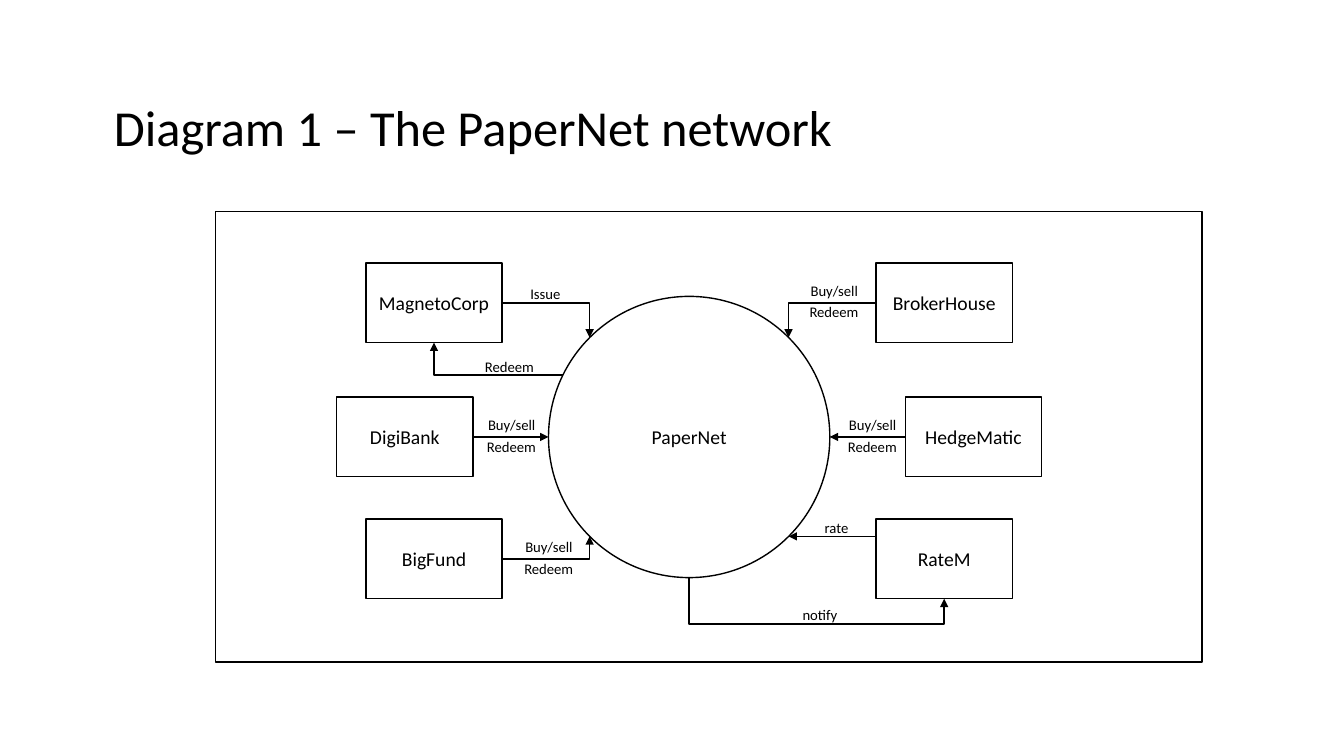
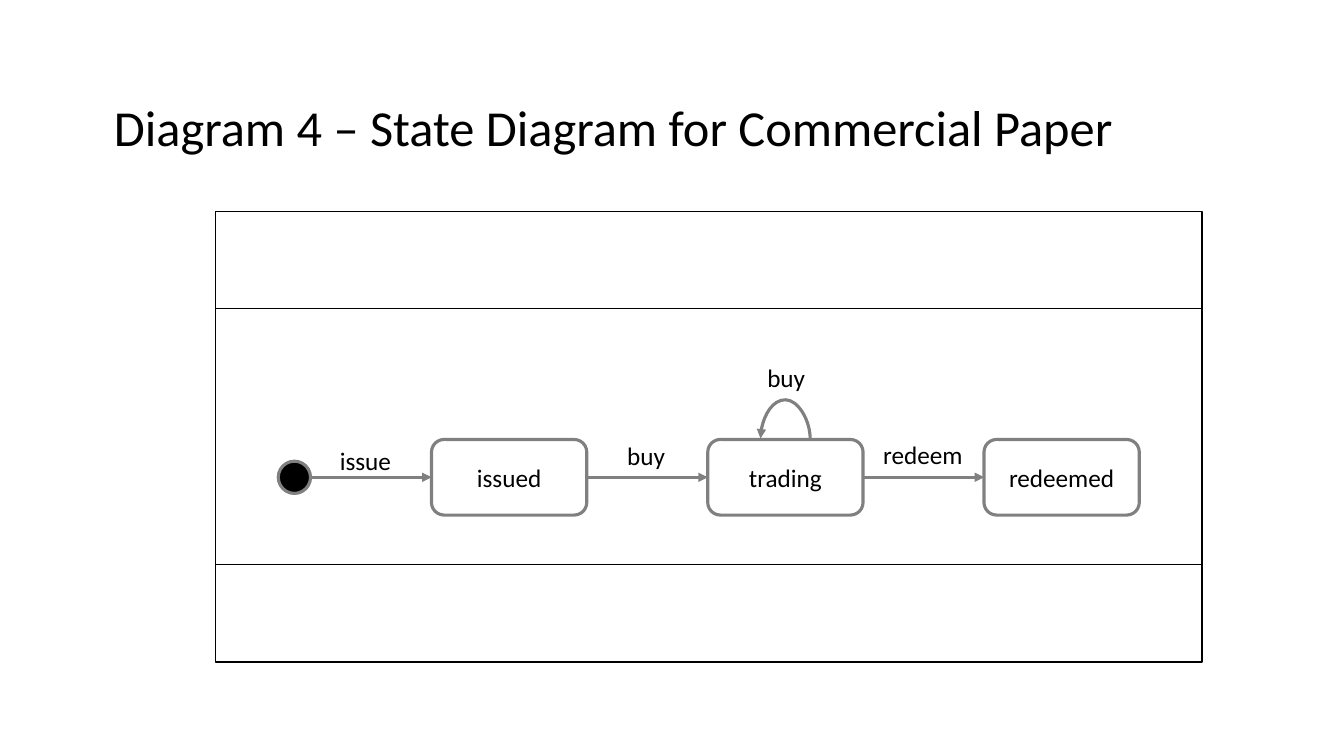
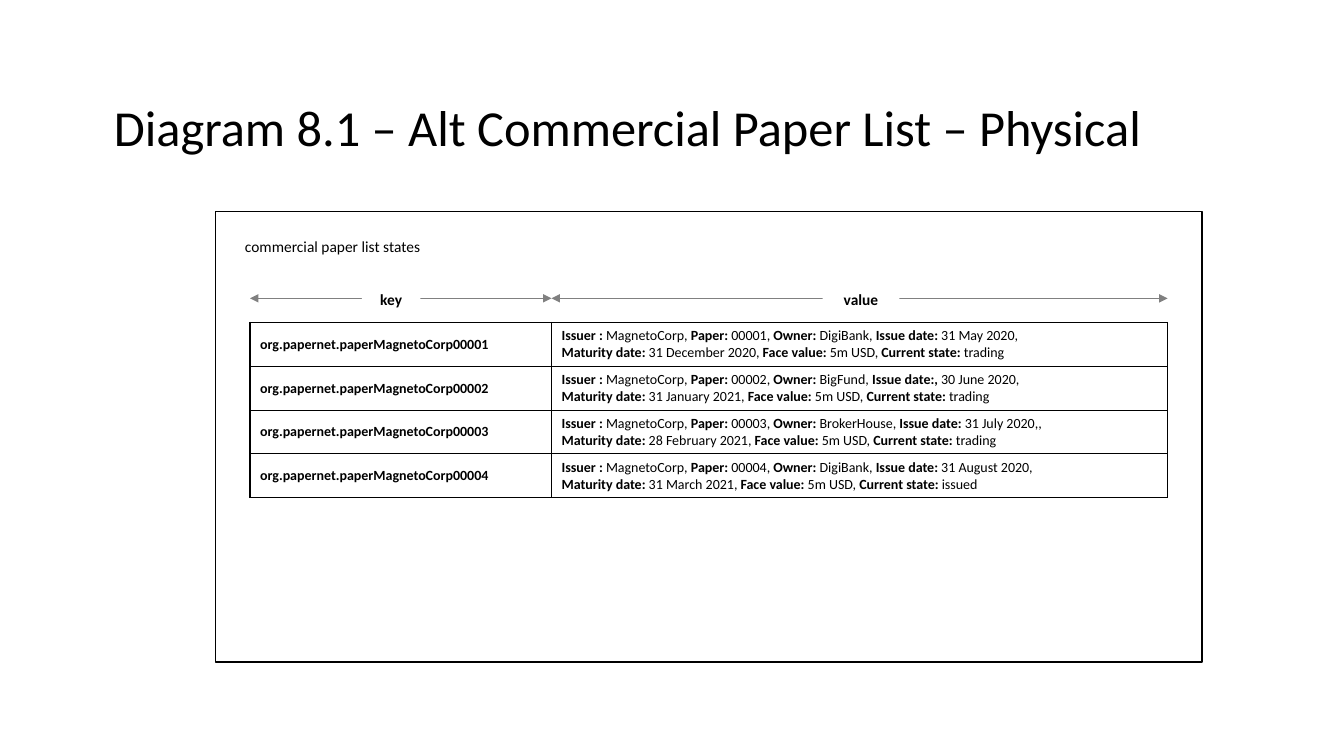
from math import sqrt
from typing import NamedTuple

from lxml.etree import SubElement
from pptx import Presentation
from pptx.dml.color import RGBColor
from pptx.enum.shapes import MSO_CONNECTOR as Connector, MSO_SHAPE as Shape
from pptx.enum.text import MSO_ANCHOR as Anchor, MSO_AUTO_SIZE as AutoSize, PP_ALIGN as Align
from pptx.oxml import parse_xml
from pptx.oxml.ns import nsdecls, qn
from pptx.util import Inches, Pt

GRID = Inches(0.1)
INK, GREY, PAPER = "000000", "808080", "FFFFFF"
FONT = "Calibri"
INSET = Inches(0.05)
INSETS = {f"margin_{side}": INSET for side in ("left", "right", "top", "bottom")}


class Box(NamedTuple):
    """A rectangle counted in grid columns and rows."""
    left: float
    top: float
    width: float
    height: float

    def inside(self, left, top, width, height):
        """Return a box placed relative to this one."""
        return Box(self.left + left, self.top + top, width, height)

    def point(self, x, y):
        """Return the point at the given shares of the box."""
        return self.left + x * self.width, self.top + y * self.height


TITLE = Box(10.8, 5.7, 115, 14.5)
PANEL = Box(21.4, 21, 97.8, 44.7)


def grid(*counts):
    """Turn grid counts into lengths."""
    return [int(count * GRID) for count in counts]


def colour(value):
    """Turn a hex string into a colour."""
    return RGBColor.from_string(value)


def apply(target, values):
    """Set attributes from a dict of format values."""
    for name, value in values.items():
        setattr(target, name, value)


def format_font(font, size, bold=False):
    """Give a font the shared face and ink."""
    apply(font, {"name": FONT, "size": Pt(size), "bold": bold})
    font.color.rgb = colour(INK)


def write(frame, text, size, bold=False, **paragraph_format):
    """Write one paragraph into a text frame."""
    paragraph = frame.paragraphs[0]
    run = paragraph.add_run()
    run.text = text
    format_font(run.font, size, bold)
    apply(paragraph, paragraph_format)


def draw_line(line, line_colour, width):
    """Format an outline or a connector line."""
    line.color.rgb = colour(line_colour)
    line.width = Pt(width)


def add_node(slide, kind, box, text="", size=14, fill=PAPER, line=INK, width=1, bold=False):
    """Add a preset shape with centred text."""
    shape = slide.shapes.add_shape(kind, *grid(*box))
    shape.shadow.inherit = False
    if fill:
        shape.fill.solid()
        shape.fill.fore_color.rgb = colour(fill)
    else:
        shape.fill.background()
    if line:
        draw_line(shape.line, line, width)
    else:
        shape.line.fill.background()
    if text:
        apply(shape.text_frame, INSETS | {"vertical_anchor": Anchor.MIDDLE})
        write(shape.text_frame, text, size, bold, alignment=Align.CENTER)
    return shape


def add_label(slide, box, text, size):
    """Add a one-line text box."""
    frame = slide.shapes.add_textbox(*grid(*box)).text_frame
    apply(frame, INSETS | {"word_wrap": False, "auto_size": AutoSize.SHAPE_TO_FIT_TEXT})
    write(frame, text, size)


def add_arrow(slide, start, end, kind=Connector.STRAIGHT, line=INK, width=1, ends=("tailEnd",)):
    """Add a connector with arrowheads at the named ends."""
    connector = slide.shapes.add_connector(kind, *grid(*start, *end))
    draw_line(connector.line, line, width)
    properties = connector.element.spPr
    for name in ends:
        SubElement(properties.find(qn("a:ln")), qn(f"a:{name}"), type="triangle")
    SubElement(properties, qn("a:effectLst"))
    return connector


def add_corner(slide, start, end):
    """Add an arrow that runs sideways and then turns once."""
    connector = add_arrow(slide, start, end, Connector.ELBOW)
    connector.element.spPr.find(qn("a:prstGeom")).set("prst", "bentConnector2")


def add_u_turn(slide, kind, start, end, bend, **style):
    """Add an arrow that leaves vertically, turns at the bend row and comes back."""
    middle_x, middle_y = (start[0] + end[0]) / 2, (start[1] + end[1]) / 2
    turned = [(middle_x + y - middle_y, middle_y + middle_x - x) for x, y in (start, end)]
    connector = add_arrow(slide, *turned, kind, **style)
    properties = connector.element.spPr
    properties.find(qn("a:xfrm")).set("rot", str(90 * 60000))
    share = round(100000 * (start[1] - bend) / (start[1] - end[1]))
    guides = properties.find(qn("a:prstGeom")).get_or_add_avLst()
    SubElement(guides, qn("a:gd"), name="adj1", fmla=f"val {share}")


def add_diagram_slide(presentation, title):
    """Add a slide with the shared title and frame."""
    slide = presentation.slides.add_slide(presentation.slide_layouts[5])
    heading = slide.shapes.title
    apply(heading, dict(zip(("left", "top", "width", "height"), grid(*TITLE))))
    apply(heading.text_frame, INSETS | {
        "vertical_anchor": Anchor.MIDDLE, "word_wrap": True, "auto_size": AutoSize.NONE})
    write(heading.text_frame, title, 36, alignment=Align.LEFT, line_spacing=0.9)
    add_node(slide, Shape.RECTANGLE, PANEL, fill=None)
    return slide


def draw_network(slide, panel):
    """Draw the hub, its members and the flows between them."""
    places = {
        "MagnetoCorp": (14.9, 5.1), "DigiBank": (12, 18.4), "BigFund": (14.9, 30.5),
        "BrokerHouse": (65.5, 5.1), "HedgeMatic": (68.4, 18.4), "RateM": (65.5, 30.5)}
    members = {name: panel.inside(*place, 13.5, 7.9) for name, place in places.items()}
    for name, box in members.items():
        add_node(slide, Shape.RECTANGLE, box, name)
    hub = panel.inside(33, 8.4, 27.9, 27.9)
    add_node(slide, Shape.OVAL, hub, "PaperNet")

    near, far = 0.5 - sqrt(0.125), 0.5 + sqrt(0.125)
    magneto, rater = members["MagnetoCorp"], members["RateM"]
    add_corner(slide, magneto.point(1, 0.5), hub.point(near, near))
    add_corner(slide, hub.point(0.05, 0.28), magneto.point(0.5, 1))
    add_corner(slide, members["BigFund"].point(1, 0.5), hub.point(near, far))
    add_corner(slide, members["BrokerHouse"].point(0, 0.5), hub.point(far, near))
    add_arrow(slide, members["DigiBank"].point(1, 0.5), hub.point(0, 0.5))
    add_arrow(slide, members["HedgeMatic"].point(0, 0.5), hub.point(1, 0.5))
    rate_end = hub.point(far, far)
    add_arrow(slide, (rater.left, rate_end[1]), rate_end)
    add_u_turn(slide, Connector.ELBOW, rater.point(0.5, 1), hub.point(0.5, 1),
               panel.top + 40.9, ends=("headEnd",))

    labels = [("Issue", 30.7, 6.8, 4), ("Redeem", 26.2, 14, 6),
              ("rate", 59.9, 30, 3.4), ("notify", 57.7, 38.6, 4.5)]
    for left, top in ((26.5, 19.8), (30.2, 31.9), (62.3, 19.8), (58.5, 6.5)):
        labels += [("Buy/sell", left, top, 5.8), ("Redeem", left - 0.1, top + 2.1, 6)]
    for text, left, top, width in labels:
        add_label(slide, panel.inside(left, top, width, 2.8), text, 10.5)


def draw_states(slide, panel):
    """Draw the chain of states with its transitions."""
    style = {"line": GREY, "width": 2.25}
    add_node(slide, Shape.RECTANGLE, panel.inside(0, 9.6, panel.width, 25.4), fill=None)
    add_node(slide, Shape.OVAL, panel.inside(6.2, 24.75, 3.2, 3.2), fill=INK, **style)
    for index, state in enumerate(("issued", "trading", "redeemed")):
        box = panel.inside(21.4 + 27.4 * index, 22.6, 15.4, 7.5)
        add_node(slide, Shape.ROUNDED_RECTANGLE, box, state, 18, **style)
        x, y = box.point(0, 0.5)
        add_arrow(slide, (x - 12, y), (x, y), **style)
        if state == "trading":
            start, end = box.point(0.66, 0), box.point(0.34, 0)
            add_u_turn(slide, Connector.CURVE, start, (end[0], end[1] - 0.1),
                       box.top - 4, **style)
    for text, left, top, width in (("issue", 11.8, 22.7, 6.1), ("buy", 40.3, 22.2, 4.8),
                                   ("redeem", 65.7, 22.1, 9), ("buy", 54.2, 14.5, 4.8)):
        add_label(slide, panel.inside(left, top, width, 4), text, 18)


def format_cell(cell, anchor):
    """Clear a cell's fill and give it thin borders."""
    cell.vertical_anchor = anchor
    cell.fill.background()
    properties = cell._tc.get_or_add_tcPr()
    for index, side in enumerate("LRTB"):
        properties.insert(index, parse_xml(
            f'<a:ln{side} {nsdecls("a")} w="{Pt(1)}"><a:solidFill>'
            f'<a:srgbClr val="{INK}"/></a:solidFill></a:ln{side}>'))


def write_fields(paragraph, fields):
    """Write bold labels, each followed by its plain value."""
    for field in fields:
        for text, bold in zip(field, (True, False)):
            run = paragraph.add_run()
            run.text = text
            format_font(run.font, 10, bold)


def draw_records(slide, panel, records):
    """Draw the key and value table under its measuring arrows."""
    add_label(slide, panel.inside(2.4, 2, 19.3, 2.9), "commercial paper list states", 11)
    area = panel.inside(3.4, 11, 91, 17.3)
    table = slide.shapes.add_table(len(records), 2, *grid(*area)).table
    apply(table, {"first_row": False, "horz_banding": False})
    left, y = area.left, panel.top + 8.6
    headings = (("key", 29.9, 14.5, 5.8), ("value", 61.1, 60.2, 7.6))
    for column, (text, width, label_left, label_width) in zip(table.columns, headings):
        column.width = grid(width)[0]
        add_arrow(slide, (left, y), (left + width, y), line=GREY, ends=("headEnd", "tailEnd"))
        label = add_node(slide, Shape.RECTANGLE, panel.inside(label_left, 7.4, label_width, 2.6),
                         text, 11, line=None, bold=True)
        label.text_frame.word_wrap = False
        left += width
    for row, (number, owner, date_label, issued, matures, state) in zip(table.rows, records):
        key, value = row.cells
        format_cell(key, Anchor.MIDDLE)
        format_cell(value, Anchor.TOP)
        write(key.text_frame, f"org.papernet.paperMagnetoCorp{number}", 10, True)
        write_fields(value.text_frame.paragraphs[0], [
            ("Issuer : ", "MagnetoCorp, "), ("Paper: ", f"{number}, "),
            ("Owner: ", f"{owner}, "), (date_label, f"{issued}, ")])
        write_fields(value.text_frame.add_paragraph(), [
            ("Maturity date: ", f"{matures}, "), ("Face value: ", "5m USD, "),
            ("Current state: ", state)])


def build():
    """Build and save the presentation."""
    presentation = Presentation()
    apply(presentation, {"slide_width": Inches(13.33), "slide_height": Inches(7.5)})
    draw_network(add_diagram_slide(presentation, "Diagram 1 – The PaperNet network"), PANEL)
    draw_states(add_diagram_slide(
        presentation, "Diagram 4 – State Diagram for Commercial Paper"), PANEL)
    draw_records(add_diagram_slide(
        presentation, "Diagram 8.1 – Alt Commercial Paper List – Physical"), PANEL, [
        ("00001", "DigiBank", "Issue date: ", "31 May 2020", "31 December 2020", "trading"),
        ("00002", "BigFund", "Issue date:, ", "30 June 2020", "31 January 2021", "trading"),
        ("00003", "BrokerHouse", "Issue date: ", "31 July 2020,", "28 February 2021", "trading"),
        ("00004", "DigiBank", "Issue date: ", "31 August 2020", "31 March 2021", "issued")])
    presentation.save("out.pptx")


build()
